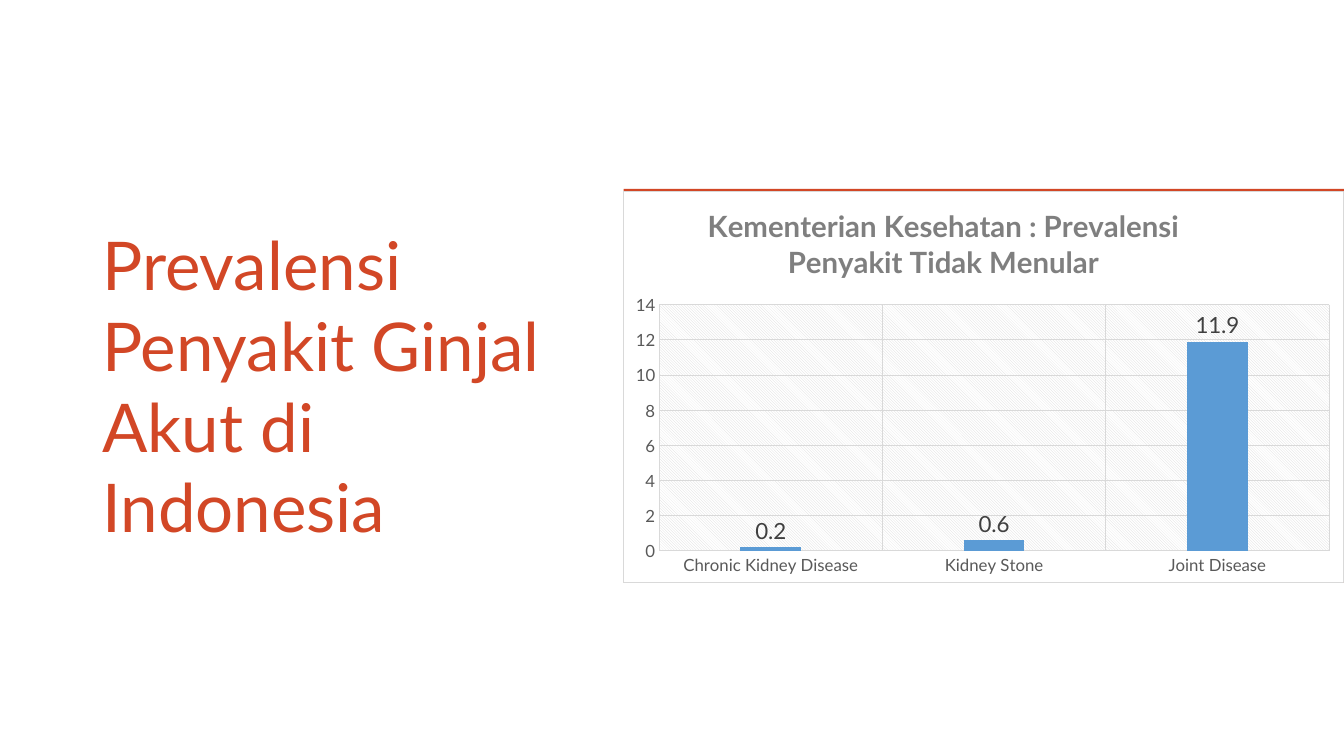
import pptx
import pptx.chart.data
import pptx.dml.color
import pptx.enum.chart
import pptx.enum.dml
import pptx.enum.shapes
import pptx.enum.text
import pptx.oxml
import pptx.oxml.ns
import pptx.util

EMU_PER_PX = 9525
FONT = "Lato"
COLORS = {
    "accent": "D24726",
    "bar": "5B9BD5",
    "grid": "D9D9D9",
    "heading": "7F7F7F",
    "axis": "595959",
    "label": "404040",
    "white": "FFFFFF",
}
PREVALENCE = {"Chronic Kidney Disease": 0.2, "Kidney Stone": 0.6, "Joint Disease": 11.9}


def px(*lengths):
    return [pptx.util.Emu(length * EMU_PER_PX) for length in lengths]


def rgb(name):
    return pptx.dml.color.RGBColor.from_string(COLORS[name])


def style_font(font, size, color, bold=False):
    font.name = FONT
    font.size = pptx.util.Pt(size)
    font.bold = bold
    font.color.rgb = rgb(color)


def style_line(line):
    line.color.rgb = rgb("grid")
    line.width = pptx.util.Pt(0.75)


def add_backing(slide, *box):
    backing = slide.shapes.add_shape(pptx.enum.shapes.MSO_SHAPE.RECTANGLE, *px(*box))
    backing.shadow.inherit = False
    backing.fill.solid()
    backing.fill.fore_color.rgb = rgb("accent")
    backing.line.fill.background()


def add_heading(slide, text, *box):
    frame = slide.shapes.add_textbox(*px(*box)).text_frame
    frame.word_wrap = True
    frame.vertical_anchor = pptx.enum.text.MSO_ANCHOR.MIDDLE
    paragraph = frame.paragraphs[0]
    paragraph.text = text
    style_font(paragraph.font, 48, "accent")


def manual_layout(fractions, inner=False):
    """Return a c:layout element placed by fractions of the chart's size."""
    target = '<c:layoutTarget val="inner"/>' if inner else ""
    modes = "".join(f'<c:{key}Mode val="edge"/>' for key in "xy")
    values = "".join(f'<c:{key} val="{value}"/>' for key, value in fractions.items())
    return pptx.oxml.parse_xml(
        f'<c:layout {pptx.oxml.ns.nsdecls("c")}><c:manualLayout>'
        f"{target}{modes}{values}</c:manualLayout></c:layout>"
    )


def place(parent, layout):
    """Put the layout in the parent, replacing any layout already there."""
    for old in parent.findall(pptx.oxml.ns.qn("c:layout")):
        parent.remove(old)
    text = parent.find(pptx.oxml.ns.qn("c:tx"))
    parent.insert(0 if text is None else 1, layout)


def fill_backgrounds(chart):
    """Give the chart a white bordered area and the plot a hatched one."""
    def area(content):
        return pptx.oxml.parse_xml(
            f'<c:spPr {pptx.oxml.ns.nsdecls("c", "a")}>{content}</c:spPr>'
        )

    def solid(name):
        return f'<a:solidFill><a:srgbClr val="{COLORS[name]}"/></a:solidFill>'

    chart_space = chart.element
    border = f'<a:ln w="{pptx.util.Pt(0.75)}">{solid("grid")}</a:ln>'
    chart_space.chart.addnext(area(solid("white") + border))
    chart_space.chart.plotArea.append(area(
        '<a:pattFill prst="ltDnDiag">'
        f'<a:fgClr><a:srgbClr val="{COLORS["grid"]}"/></a:fgClr>'
        f'<a:bgClr><a:srgbClr val="{COLORS["white"]}"/></a:bgClr>'
        "</a:pattFill><a:ln><a:noFill/></a:ln>"
    ))


def style_axis(axis):
    axis.major_tick_mark = axis.minor_tick_mark = pptx.enum.chart.XL_TICK_MARK.NONE
    axis.has_major_gridlines = True
    style_line(axis.major_gridlines.format.line)
    style_font(axis.tick_labels.font, 12, "axis")


def add_prevalence_chart(slide, title, *box):
    data = pptx.chart.data.CategoryChartData()
    data.categories = list(PREVALENCE)
    data.add_series("Series 1", list(PREVALENCE.values()))
    chart = slide.shapes.add_chart(
        pptx.enum.chart.XL_CHART_TYPE.COLUMN_CLUSTERED, *px(*box), data
    ).chart
    style_font(chart.font, 10, "axis")
    chart.has_legend = False

    chart.has_title = True
    heading = chart.chart_title.text_frame.paragraphs[0]
    heading.text = title
    style_font(heading.font, 21, "heading", bold=True)
    place(chart.element.chart.find(pptx.oxml.ns.qn("c:title")),
          manual_layout({"x": 0.11, "y": 0.02}))

    style_axis(chart.category_axis)
    style_line(chart.category_axis.format.line)
    style_axis(chart.value_axis)
    chart.value_axis.format.line.fill.background()
    chart.value_axis.minimum_scale = 0
    chart.value_axis.maximum_scale = 14
    chart.value_axis.major_unit = 2

    plot = chart.plots[0]
    plot.vary_by_categories = False
    plot.gap_width = 267
    plot.overlap = -43
    plot.has_data_labels = True
    plot.data_labels.show_value = True
    plot.data_labels.position = pptx.enum.chart.XL_LABEL_POSITION.OUTSIDE_END
    style_font(plot.data_labels.font, 16, "label")
    bars = plot.series[0].format.fill
    bars.solid()
    bars.fore_color.rgb = rgb("bar")

    place(chart.element.chart.plotArea,
          manual_layout({"x": 0.05, "y": 0.29, "w": 0.93, "h": 0.63}, inner=True))
    fill_backgrounds(chart)


def main():
    deck = pptx.Presentation()
    deck.slide_width, deck.slide_height = px(1280, 720)
    slide = deck.slides.add_slide(deck.slide_layouts[6])
    add_backing(slide, 594, 180, 686, 375)
    add_heading(slide, "Prevalensi Penyakit Ginjal Akut di Indonesia", 88, 252, 473, 229)
    add_prevalence_chart(
        slide, "Kementerian Kesehatan : Prevalensi Penyakit Tidak Menular",
        593, 182, 687, 373,
    )
    deck.save("out.pptx")


if __name__ == "__main__":
    main()
